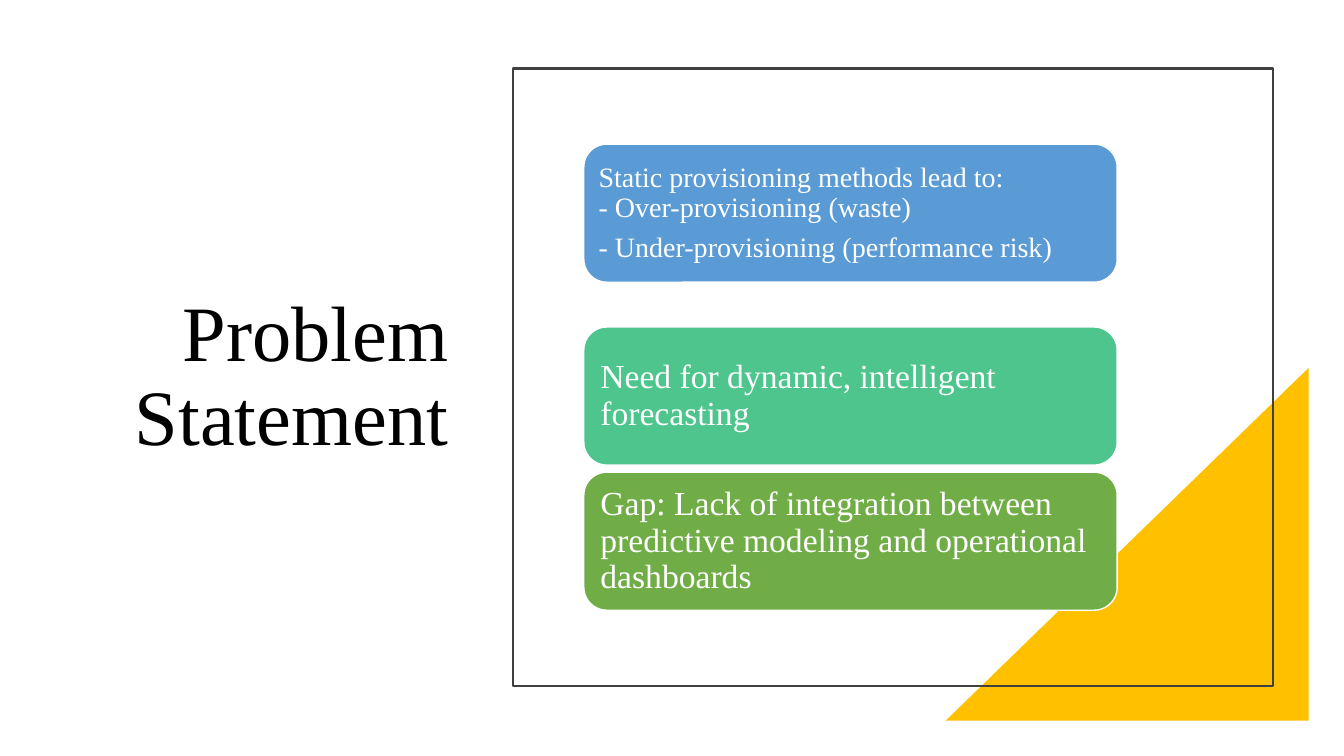
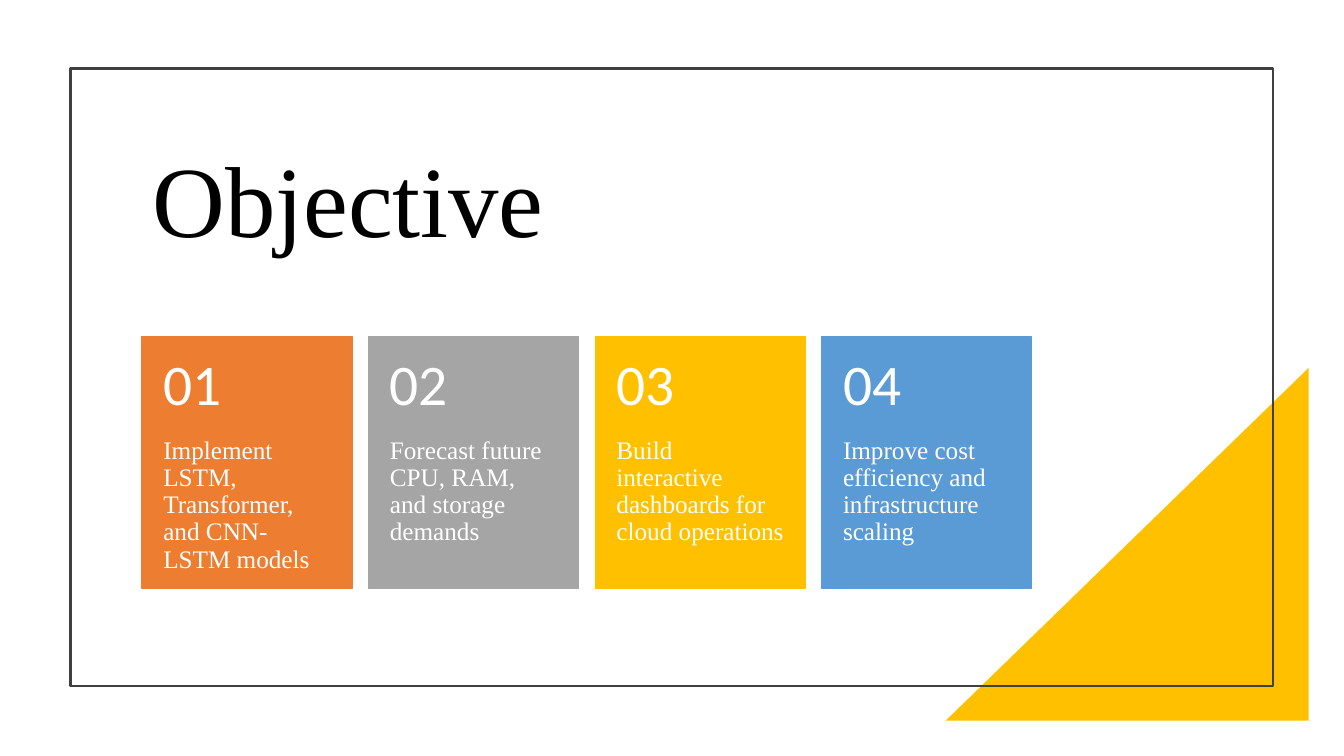
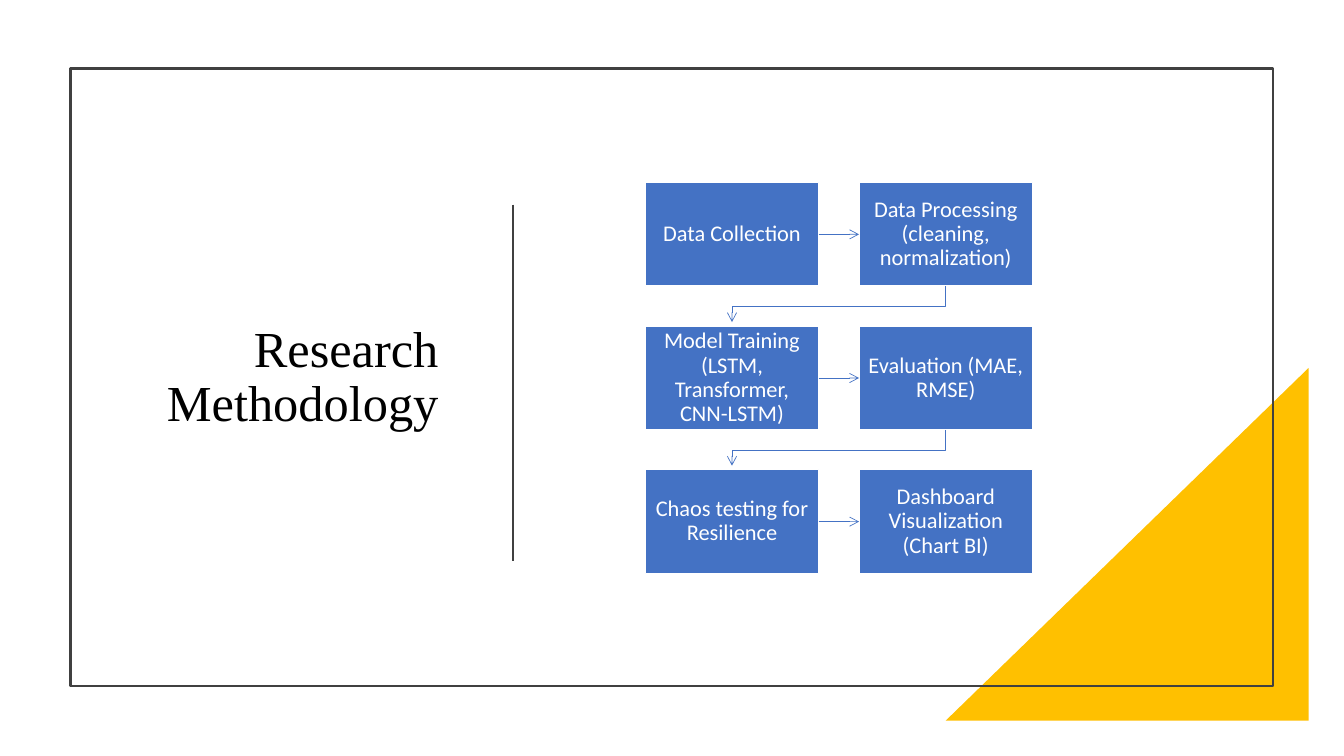
from dataclasses import dataclass
from typing import NamedTuple

from lxml import etree
from pptx import Presentation
from pptx import util as u
from pptx.dml.color import RGBColor
from pptx.enum import shapes, text
from pptx.oxml import ns

KIND = shapes.MSO_SHAPE
LEFT, MID, RIGHT = text.PP_ALIGN.LEFT, text.PP_ALIGN.CENTER, text.PP_ALIGN.RIGHT
TOP, CORE = text.MSO_ANCHOR.TOP, text.MSO_ANCHOR.MIDDLE


@dataclass(frozen=True)
class Theme:
    ink: str = "000000"
    rule: str = "404040"
    white: str = "FFFFFF"
    gold: str = "FFC000"
    sky: str = "5B9BD5"
    mint: str = "4DC58D"
    green: str = "70AD47"
    rust: str = "ED7D31"
    grey: str = "A5A5A5"
    blue: str = "4472C4"
    serif: str = "Times New Roman"
    sans: str = "Calibri"
    hero: int = 72
    head: int = 56
    sub: int = 36
    digit: int = 41
    large: int = 24
    mid: int = 20
    body: int = 18
    small: int = 16
    lead: float = 0.9
    after: float = 0.35


class Box(NamedTuple):
    x: float
    y: float
    w: float
    h: float

    def emu(self) -> list:
        return [u.Inches(n) for n in self]


class Grid(NamedTuple):
    """Equal cells, set by the first cell and the gaps."""
    cell: Box
    gapx: float = 0
    gapy: float = 0

    def at(self, col: float, row: float) -> Box:
        x, y, w, h = self.cell
        return Box(x + col * (w + self.gapx), y + row * (h + self.gapy), w, h)


class Point(NamedTuple):
    words: list
    row: float
    fill: str
    size: int
    pad: float


class Card(NamedTuple):
    words: str
    fill: str


T = Theme()
WIDE, HIGH = 13.33, 7.5
EDGE, HEAD, FOOT = 12.63, 0.68, 6.81   # frame: right, top, bottom
SPLIT = 5.09                           # left edge of the right-hand part


def tint(hue: str) -> RGBColor:
    return RGBColor.from_string(hue)


def write(shape, paras: list, *, size: int, font: str = T.serif,
          hue: str = T.white, align=LEFT, anchor=CORE,
          pad: tuple = (0.1, 0.05, 0.1, 0.05), after: float = T.after) -> None:
    """Fill a shape with paragraphs; a newline is a line break."""
    frame = shape.text_frame
    frame.word_wrap = True
    frame.auto_size = text.MSO_AUTO_SIZE.NONE
    frame.vertical_anchor = anchor
    (frame.margin_left, frame.margin_top,
     frame.margin_right, frame.margin_bottom) = [u.Inches(n) for n in pad]
    for i, words in enumerate(paras):
        para = frame.add_paragraph() if i else frame.paragraphs[0]
        para.alignment = align
        para.line_spacing = T.lead
        para.space_before = u.Pt(0)
        para.space_after = u.Pt(size * after)
        for j, line in enumerate(words.split("\n")):
            if j:
                para.add_line_break()
            run = para.add_run()
            run.text = line
            run.font.size = u.Pt(size)
            run.font.name = font
            run.font.color.rgb = tint(hue)


def stroke(shape, hue: str, width: float) -> None:
    shape.line.color.rgb = tint(hue)
    shape.line.width = u.Pt(width)


def draw(slide, kind, box: Box, *, fill: str = "", line: str = "",
         width: float = 1):
    shape = slide.shapes.add_shape(kind, *box.emu())
    shape.shadow.inherit = False
    if fill:
        shape.fill.solid()
        shape.fill.fore_color.rgb = tint(fill)
    else:
        shape.fill.background()
    if line:
        stroke(shape, line, width)
    else:
        shape.line.fill.background()
    return shape


def wire(slide, start: tuple, end: tuple, hue: str, width: float):
    """Straight connector without a shadow."""
    link = slide.shapes.add_connector(
        shapes.MSO_CONNECTOR.STRAIGHT, *[u.Inches(n) for n in start + end])
    stroke(link, hue, width)
    etree.SubElement(link.element.spPr, ns.qn("a:effectLst"))
    return link


def arrow(shape) -> None:
    """Put an open arrowhead at the end of a line."""
    etree.SubElement(shape.line._get_or_add_ln(), ns.qn("a:tailEnd"), type="arrow")


def page(deck, title: str, box: Box, size: int, align, left: float):
    """Title, corner triangle and frame, as on every slide."""
    slide = deck.slides.add_slide(deck.slide_layouts[5])
    head = slide.shapes.title
    head.left, head.top, head.width, head.height = box.emu()
    write(head, [title], size=size, hue=T.ink, align=align, after=0)
    corner = draw(slide, KIND.RIGHT_TRIANGLE, Box(9.38, 3.65, 3.6, 3.5), fill=T.gold)
    corner.element.spPr.xfrm.set("flipH", "1")
    draw(slide, KIND.RECTANGLE, Box(left, HEAD, EDGE - left, FOOT - HEAD),
         line=T.rule, width=1.5)
    return slide


def problem(deck) -> None:
    slide = page(deck, "Problem Statement", Box(1.1, 1.3, 3.45, 4.9),
                 T.head, RIGHT, SPLIT)
    grid = Grid(Box(5.79, 1.43, 5.29, 1.37), gapy=0.07)
    points = [
        Point(["Static provisioning methods lead to:\n- Over-provisioning (waste)",
               "- Under-provisioning (performance risk)"], 0, T.sky, T.mid, 0.08),
        Point(["Need for dynamic, intelligent forecasting"],
              1.26, T.mint, T.large, 0.1),
        Point(["Gap: Lack of integration between predictive modeling "
               "and operational dashboards"], 2.26, T.green, T.large, 0.1),
    ]
    for p in points:
        shape = draw(slide, KIND.ROUNDED_RECTANGLE, grid.at(0, p.row),
                     fill=p.fill, line=T.white)
        write(shape, p.words, size=p.size, pad=(p.pad,) * 4)


def goals(deck) -> None:
    slide = page(deck, "Objective", Box(1.41, 1.15, 8.83, 1.77), T.hero, LEFT, 0.7)
    grid = Grid(Box(1.41, 3.34, 2.08, 2.5), gapx=0.167)
    cards = [
        Card("Implement LSTM, Transformer, and CNN-LSTM models", T.rust),
        Card("Forecast future CPU, RAM, and storage demands", T.grey),
        Card("Build interactive dashboards for cloud operations", T.gold),
        Card("Improve cost efficiency and infrastructure scaling", T.sky),
    ]
    for col, card in enumerate(cards):
        box = grid.at(col, 0)
        draw(slide, KIND.RECTANGLE, box, fill=card.fill, line=card.fill)
        # The number takes the top 40 % of the card, the words the rest
        cut = box.h * 0.4
        top = box._replace(h=cut)
        low = box._replace(y=box.y + cut, h=box.h - cut)
        write(slide.shapes.add_textbox(*low.emu()), [card.words], size=T.body,
              anchor=TOP, pad=(0.21, 0, 0.21, 0.36))
        write(slide.shapes.add_textbox(*top.emu()), [f"{col + 1:02}"], size=T.digit,
              font=T.sans, pad=(0.21, 0.18, 0.21, 0.18))


def bend(slide, start: Box, end: Box) -> None:
    """Arrow from below one step, back left, to just above the next."""
    x, y = start.x + start.w / 2, start.y + start.h
    goal, turn = end.x + end.w / 2, y + 0.2
    spots = [(x, turn), (goal, turn), (goal, end.y - 0.04)]
    pen = slide.shapes.build_freeform(u.Inches(x), u.Inches(y))
    pen.add_line_segments([(u.Inches(a), u.Inches(b)) for a, b in spots], close=False)
    line = pen.convert_to_shape()
    line.shadow.inherit = False
    line.fill.background()
    stroke(line, T.blue, 0.5)
    arrow(line)


def method(deck) -> None:
    slide = page(deck, "Research Methodology", Box(1.18, 1.3, 3.27, 4.9),
                 T.sub, RIGHT, 0.7)
    wire(slide, (SPLIT, 2.03), (SPLIT, 5.57), T.rule, 1.5)
    grid = Grid(Box(6.4, 1.81, 1.72, 1.03), gapx=0.4, gapy=0.395)
    steps = [
        "Data Collection", "Data Processing (cleaning, normalization)",
        "Model Training (LSTM, Transformer, CNN-LSTM)", "Evaluation (MAE, RMSE)",
        "Chaos testing for Resilience", "Dashboard Visualization (Chart BI)",
    ]
    cells = [grid.at(i % 2, i // 2) for i in range(len(steps))]
    nodes = []
    for words, cell in zip(steps, cells):
        node = draw(slide, KIND.RECTANGLE, cell, fill=T.blue, line=T.white)
        write(node, [words], size=T.small, font=T.sans, align=MID,
              pad=(0.08, 0.09, 0.08, 0.09))
        nodes.append(node)
    # Across each row, then back to the start of the next
    for i in range(len(nodes) - 1):
        if i % 2:
            bend(slide, cells[i], cells[i + 1])
        else:
            link = wire(slide, (0, 0), (1, 1), T.blue, 0.5)
            link.begin_connect(nodes[i], 3)
            link.end_connect(nodes[i + 1], 1)
            arrow(link)


def main() -> None:
    deck = Presentation()
    deck.slide_width, deck.slide_height = u.Inches(WIDE), u.Inches(HIGH)
    for build in (problem, goals, method):
        build(deck)
    deck.save("out.pptx")


if __name__ == "__main__":
    main()
